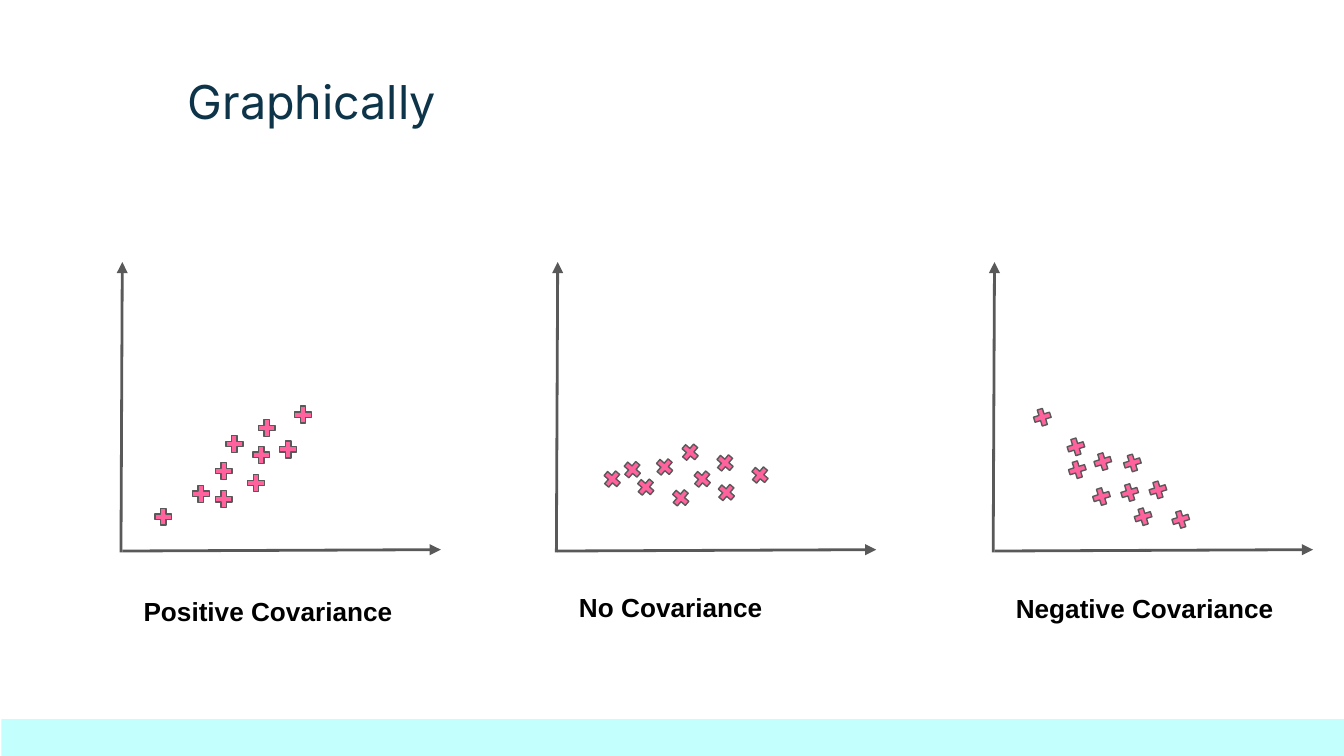
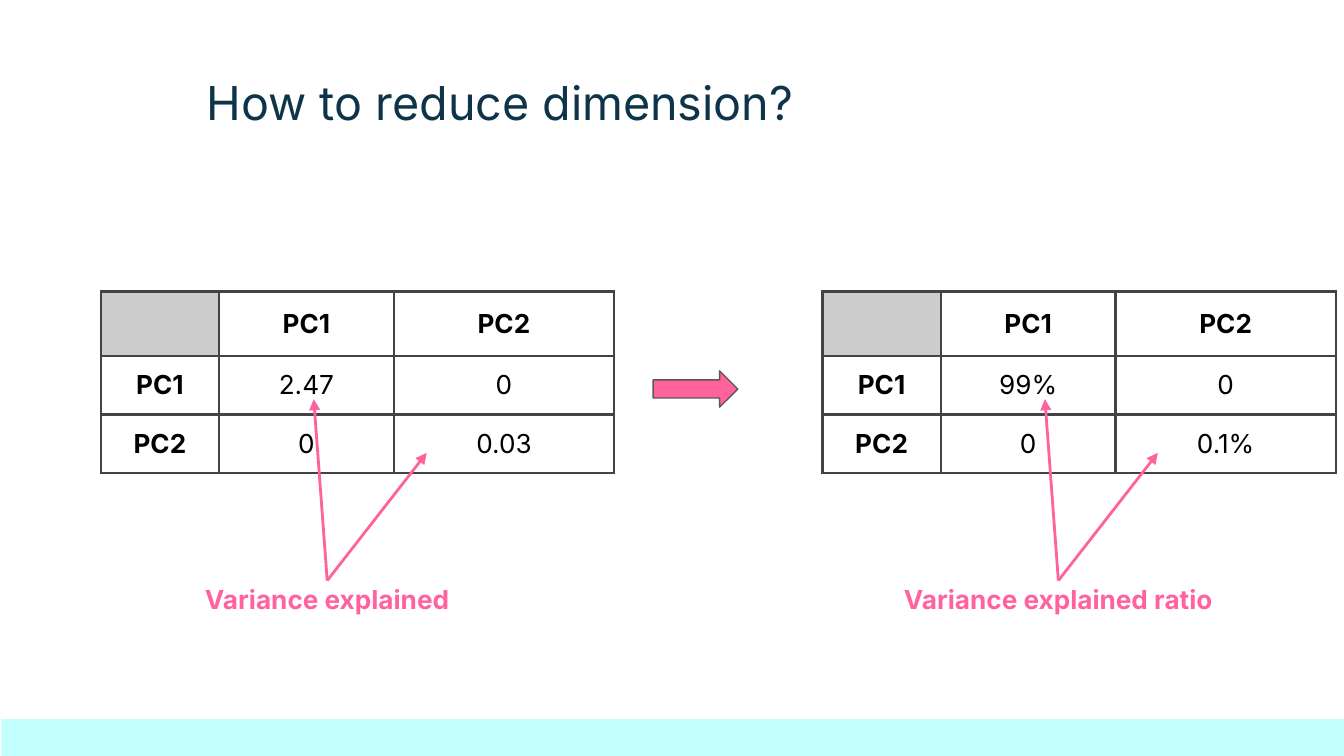
"""Builds two slides on covariance and on reducing dimension."""
import pptx
import pptx.dml.color
import pptx.enum.shapes
import pptx.enum.text
import pptx.oxml.ns
import pptx.util
from lxml import etree

Inches = pptx.util.Inches
Pt = pptx.util.Pt
SHAPE = pptx.enum.shapes.MSO_SHAPE
ALIGN = pptx.enum.text.PP_ALIGN
ANCHOR = pptx.enum.text.MSO_ANCHOR

WIDTH = 10
HEIGHT = WIDTH * 9 / 16
NAVY, AQUA, PINK = "0E3449", "C3FFFC", "FF629D"
GREY, BORDER, CORNER, BLACK = "595959", "434343", "CCCCCC", "000000"
BAND_Y = 5.35
INSET, CORNER_INSET = 0.1, 0.09

PLOT_BASE, PLOT_TOP, PLOT_W = 4.11, 1.95, 2.38
MARK = 0.17
# Each plot: label, axis x, label y, marker turn, (right, up) in hundredths.
PLOTS = [
    ("Positive Covariance", 0.9, 4.33, 0,
     [(23, 35), (68, 69), (76, 89), (116, 85), (127, 111),
      (51, 52), (68, 48), (92, 60), (96, 81), (100, 101)]),
    ("Negative Covariance", 7.39, 4.31, 72.6,
     [(28, 109), (73, 76), (95, 75), (103, 35), (131, 33),
      (53, 87), (54, 70), (72, 50), (93, 53), (114, 55)]),
    ("No Covariance", 4.14, 4.3, 40.8,
     [(33, 63), (72, 72), (91, 83), (118, 53), (143, 66),
      (48, 70), (58, 57), (84, 49), (100, 63), (117, 75)]),
]

COLS, ROWS = (0.88, 1.3, 1.64), (0.43, 0.39, 0.39)
TABLE_Y, CAPTION_Y, CAPTION_W = 2.17, 4.32, 2.75
POINTERS = [(-0.1, 2.97), (0.74, 3.37)]
MATRICES = [
    ("Variance explained", 0.75, 1.06,
     [("", "PC1", "PC2"), ("PC1", "2.47", "0"), ("PC2", "0", "0.03")]),
    ("Variance explained ratio", 6.12, 6.5,
     [("", "PC1", "PC2"), ("PC1", "99%", "0"), ("PC2", "0", "0.1%")]),
]


def rgb(color):
    return pptx.dml.color.RGBColor.from_string(color)


def box(*lengths):
    return [Inches(v) for v in lengths]


def sub(parent, tag, **attrs):
    return etree.SubElement(parent, pptx.oxml.ns.qn(tag), **attrs)


def set_margins(holder, inset):
    holder.margin_left = holder.margin_right = Inches(inset)
    holder.margin_top = holder.margin_bottom = Inches(inset)


def add_run(p, text, size, font, color, bold=False):
    r = p.add_run()
    r.text = text
    r.font.size = Pt(size)
    r.font.name = font
    r.font.bold = bold
    r.font.color.rgb = rgb(color)


def add_text(s, at, text, size, font, color, bold=False,
             align=ALIGN.LEFT, anchor=ANCHOR.TOP):
    sp = s.shapes.add_textbox(*box(*at))
    tf = sp.text_frame
    tf.word_wrap = True
    tf.vertical_anchor = anchor
    set_margins(tf, INSET)
    p = tf.paragraphs[0]
    p.alignment = align
    add_run(p, text, size, font, color, bold)
    return sp


def add_shape(s, kind, at, fill, line=None):
    sp = s.shapes.add_shape(kind, *box(*at))
    sp.shadow.inherit = False
    sp.fill.solid()
    sp.fill.fore_color.rgb = rgb(fill)
    if line:
        sp.line.color.rgb = rgb(line)
        sp.line.width = Pt(0.75)
    else:
        sp.line.fill.background()
    return sp


def add_arrow(s, start, end, color):
    straight = pptx.enum.shapes.MSO_CONNECTOR.STRAIGHT
    c = s.shapes.add_connector(straight, *box(*start, *end))
    c.line.color.rgb = rgb(color)
    c.line.width = Pt(1.5)
    sub(c.line._get_or_add_ln(), "a:tailEnd", type="triangle")
    sub(c._element.spPr, "a:effectLst")
    return c


def add_slide(prs, title, at):
    s = prs.slides.add_slide(prs.slide_layouts[6])
    add_shape(s, SHAPE.RECTANGLE, (0.01, BAND_Y, WIDTH, HEIGHT - BAND_Y), AQUA)
    add_text(s, at, title, 25, "Inter", NAVY)
    return s


def add_plot(s, label, x, label_y, turn, points):
    add_arrow(s, (x, PLOT_BASE), (x + 0.01, PLOT_TOP), GREY)
    add_arrow(s, (x + 0.01, PLOT_BASE - 0.01),
              (x + PLOT_W, PLOT_BASE - 0.02), GREY)
    for right, up in points:
        at = (x + right / 100, PLOT_BASE - up / 100, MARK, MARK)
        sp = add_shape(s, SHAPE.MATH_PLUS, at, PINK, GREY)
        sp.adjustments[0] = 0.235
        sp.rotation = turn
    add_text(s, (x + 0.07, label_y, 2.17, 0.27), label, 14, "Arial", BLACK, True)


def set_borders(cell):
    tcPr = cell._tc.get_or_add_tcPr()
    for side in "LRTB":
        ln = sub(tcPr, "a:ln" + side, w=str(Pt(1.5)))
        sub(sub(ln, "a:solidFill"), "a:srgbClr", val=BORDER)


def add_matrix(s, x, values):
    at = (x, TABLE_Y, sum(COLS), sum(ROWS))
    table = s.shapes.add_table(len(ROWS), len(COLS), *box(*at)).table
    table.first_row = table.horz_banding = False
    for col, w in zip(table.columns, COLS):
        col.width = Inches(w)
    for row, h in zip(table.rows, ROWS):
        row.height = Inches(h)
    for i, row in enumerate(values):
        for j, text in enumerate(row):
            cell = table.cell(i, j)
            set_borders(cell)
            if not text:
                cell.fill.solid()
                cell.fill.fore_color.rgb = rgb(CORNER)
                set_margins(cell, CORNER_INSET)
                continue
            cell.fill.background()
            cell.vertical_anchor = ANCHOR.MIDDLE
            set_margins(cell, INSET)
            p = cell.text_frame.paragraphs[0]
            p.alignment = ALIGN.CENTER
            add_run(p, text, 14, "Inter", BLACK, i == 0 or j == 0)


def add_caption(s, x, text):
    sp = add_text(s, (x, CAPTION_Y, CAPTION_W, 0.27), text, 14, "Inter", PINK,
                  True, ALIGN.CENTER, ANCHOR.MIDDLE)
    mid = x + CAPTION_W / 2
    for dx, y in POINTERS:
        c = add_arrow(s, (mid, CAPTION_Y), (mid + dx, y), PINK)
        c.begin_connect(sp, 0)


def main():
    prs = pptx.Presentation()
    prs.slide_width, prs.slide_height = box(WIDTH, HEIGHT)

    s = add_slide(prs, "Graphically", (1.3, 0.44, 5.81, 0.58))
    for plot in PLOTS:
        add_plot(s, *plot)

    s = add_slide(prs, "How to reduce dimension?", (1.44, 0.45, 8.15, 0.58))
    for caption, table_x, caption_x, values in MATRICES:
        add_matrix(s, table_x, values)
        add_caption(s, caption_x, caption)
    add_shape(s, SHAPE.RIGHT_ARROW, (4.86, 2.76, 0.63, 0.27), PINK, GREY)

    prs.save("out.pptx")


if __name__ == "__main__":
    main()
